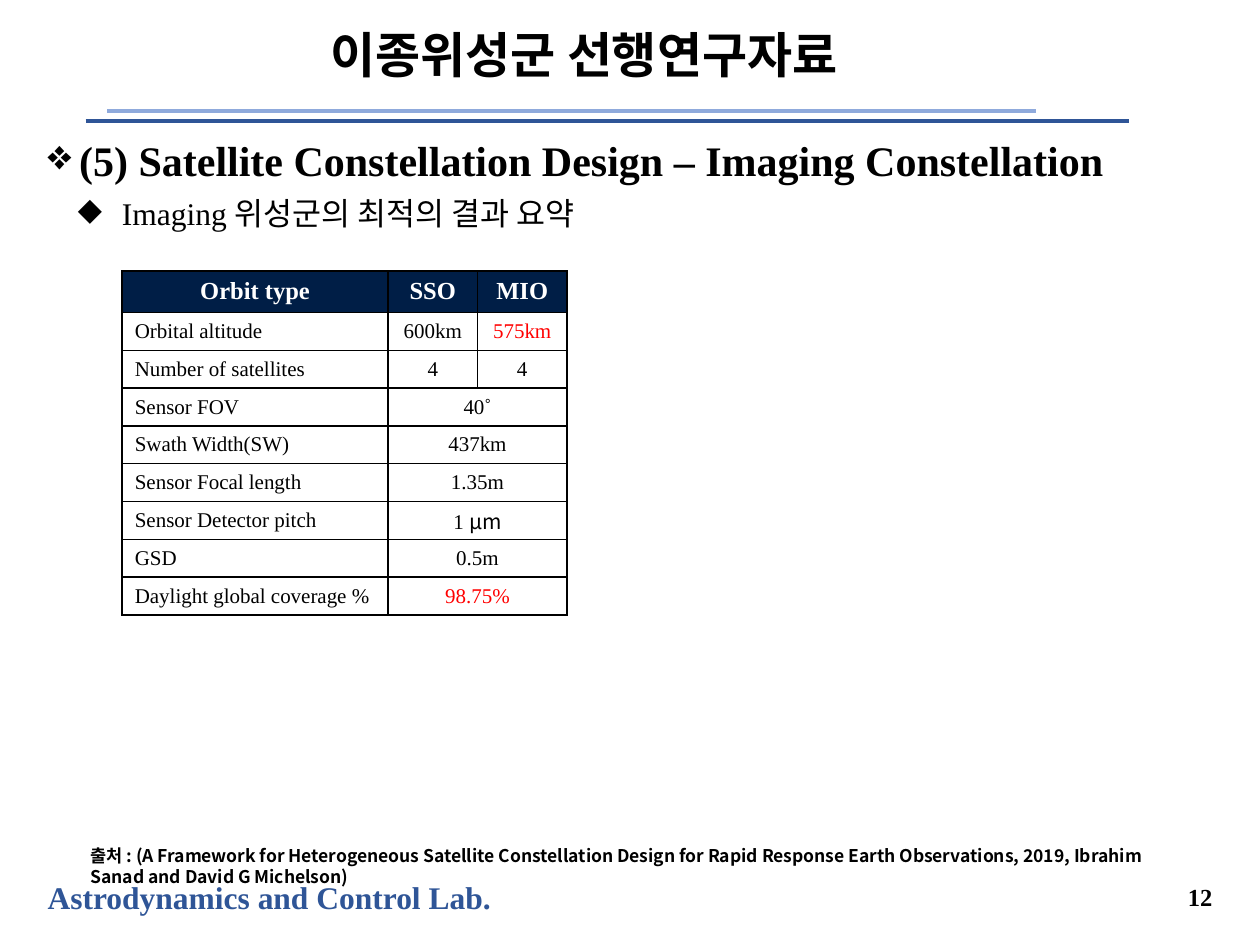
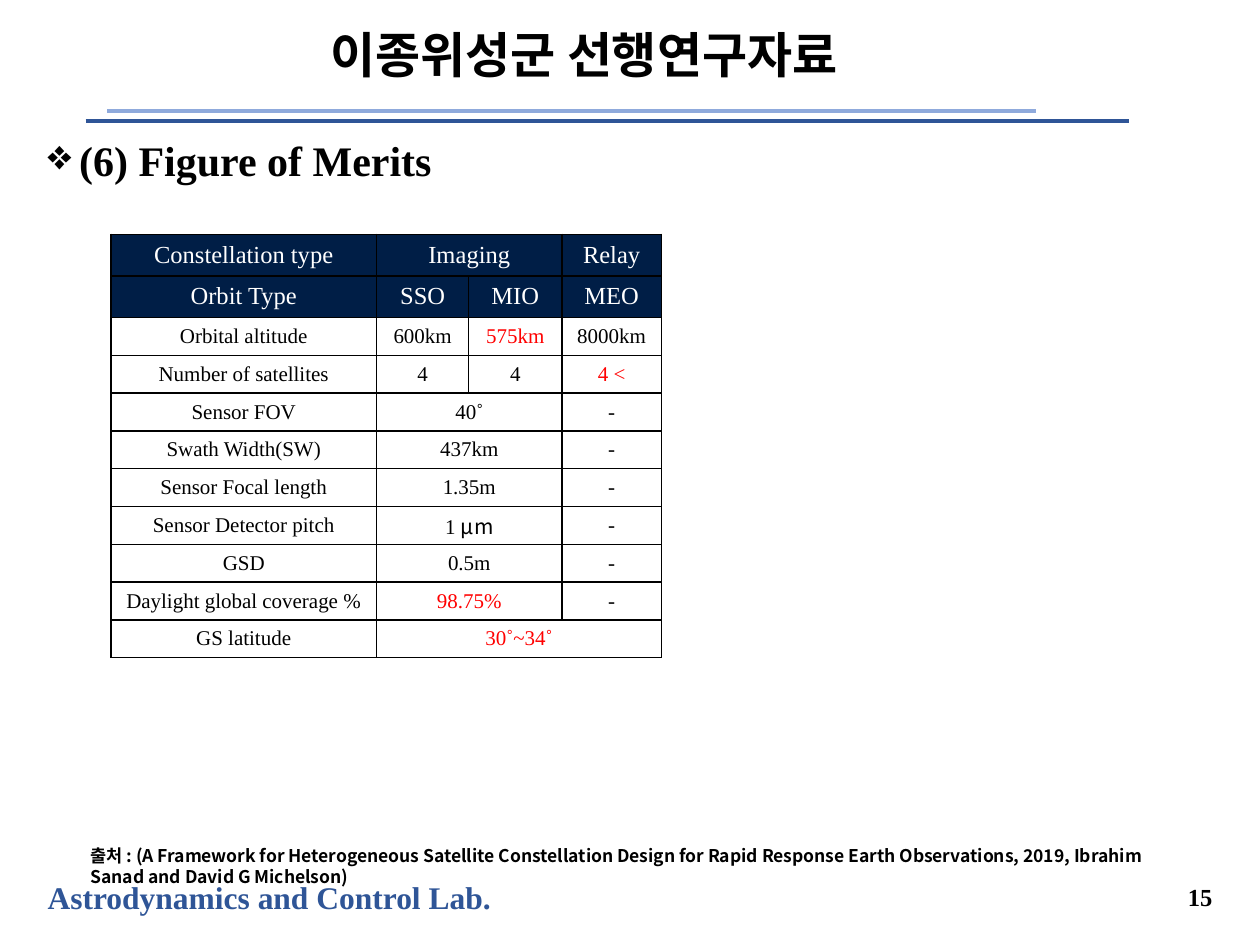
import pptx
import pptx.dml.color
import pptx.enum.shapes
import pptx.enum.text
import pptx.oxml.ns
import pptx.util
from lxml import etree

Inches = pptx.util.Inches
Pt = pptx.util.Pt
RGBColor = pptx.dml.color.RGBColor
ALIGN = pptx.enum.text.PP_ALIGN
MIDDLE = pptx.enum.text.MSO_ANCHOR.MIDDLE
qn = pptx.oxml.ns.qn

BLACK = RGBColor(0x00, 0x00, 0x00)
WHITE = RGBColor(0xFF, 0xFF, 0xFF)
RED = RGBColor(0xFF, 0x00, 0x00)
NAVY = RGBColor(0x00, 0x1E, 0x46)
BLUE = RGBColor(0x2F, 0x55, 0x97)
LIGHT_BLUE = RGBColor(0x8F, 0xAA, 0xDC)

SERIF = "Times New Roman"
KOREAN = "Noto Sans CJK KR"

TITLE = "이종위성군 선행연구자료"
LAB = "Astrodynamics and Control Lab."
SOURCE = ("출처 : (A Framework for Heterogeneous Satellite Constellation Design for Rapid "
          "Response Earth Observations, 2019, Ibrahim Sanad and David G Michelson)")

# None continues the cell to its left
SENSOR_ROWS = [
    ["Sensor FOV", "40˚", None],
    ["Swath Width(SW)", "437km", None],
    ["Sensor Focal length", "1.35m", None],
    ["Sensor Detector pitch", "1 μm", None],
    ["GSD", "0.5m", None],
    ["Daylight global coverage %", "98.75%", None],
]
ORBIT_ROWS = [
    ["Orbital altitude", "600km", "575km"],
    ["Number of satellites", "4", "4"],
]
IMAGING_ROWS = [["Orbit type", "SSO", "MIO"]] + ORBIT_ROWS + SENSOR_ROWS
MERIT_ROWS = [
    ["Constellation type", "Imaging", None, "Relay"],
    ["Orbit Type", "SSO", "MIO", "MEO"],
    *[row + [relay] for row, relay in zip(ORBIT_ROWS, ["8000km", "4 <"])],
    *[row + ["-"] for row in SENSOR_ROWS],
    ["GS latitude", "30˚~34˚", None, None],
]
KEY_RESULTS = {"575km", "98.75%", "4 <", "30˚~34˚"}


def style_run(run, size, color=BLACK, bold=True, font=SERIF):
    run.font.size = Pt(size)
    run.font.color.rgb = color
    run.font.bold = bold
    run.font.name = font


def set_east_asian_font(run):
    etree.SubElement(run.font._element, qn("a:ea"), typeface=KOREAN)


def set_indent(paragraph, left, first_line=0.0, bullet=None):
    properties = paragraph._p.get_or_add_pPr()
    properties.set("marL", str(Inches(left)))
    properties.set("indent", str(Inches(first_line)))
    if bullet:
        etree.SubElement(properties, qn("a:buChar"), char=bullet)


def add_text(slide, box, text, size, color=BLACK, align=ALIGN.LEFT, font=SERIF,
             anchor=None, wrap=True):
    """Add a one-paragraph text box and return its paragraph."""
    shape = slide.shapes.add_textbox(*map(Inches, box))
    frame = shape.text_frame
    frame.word_wrap = wrap
    frame.vertical_anchor = anchor
    frame.text = text
    paragraph = frame.paragraphs[0]
    paragraph.alignment = align
    style_run(paragraph.runs[0], size, color, font=font)
    set_east_asian_font(paragraph.runs[0])
    return paragraph


def add_rule(slide, left, right, top, color):
    line = slide.shapes.add_connector(
        pptx.enum.shapes.MSO_CONNECTOR.STRAIGHT,
        Inches(left), Inches(top), Inches(right), Inches(top))
    line.line.color.rgb = color
    line.line.width = Pt(2.25)
    etree.SubElement(line._element.spPr, qn("a:effectLst"))


def add_frame(slide, number):
    """Add the lab name, rules, title, page number and source note."""
    add_text(slide, (0.28, 6.92, 3.76, 0.4), LAB, 18, BLUE, wrap=False)
    add_rule(slide, 0.68, 8.96, 0.96, BLUE)
    add_rule(slide, 0.85, 8.22, 0.88, LIGHT_BLUE)
    add_text(slide, (8.65, 6.92, 1.07, 0.39), str(number), 14,
             align=ALIGN.RIGHT, anchor=MIDDLE)
    title = add_text(slide, (0.97, 0.08, 7.33, 0.75), TITLE, 28,
                     align=ALIGN.CENTER, anchor=MIDDLE)
    title.line_spacing = 0.9
    source = add_text(slide, (0.15, 6.66, 9.2, 0.44), SOURCE, 10, font=KOREAN)
    source.line_spacing = Pt(12)
    set_indent(source, 0.47)


def add_body(slide, box, heading, point=None):
    shape = slide.shapes.add_textbox(*map(Inches, box))
    frame = shape.text_frame
    frame.word_wrap = True
    frame.text = heading
    set_indent(frame.paragraphs[0], 0.25, -0.39, "❖")
    style_run(frame.paragraphs[0].runs[0], 24)
    if point:
        paragraph = frame.add_paragraph()
        paragraph.text = point
        paragraph.level = 1
        set_indent(paragraph, 0.59, -0.35, "◆")
        paragraph.space_before = Pt(5)
        style_run(paragraph.runs[0], 18, bold=False)
        set_east_asian_font(paragraph.runs[0])


def add_borders(cell):
    properties = cell._tc.get_or_add_tcPr()
    for side in ("lnL", "lnR", "lnT", "lnB"):
        line = etree.SubElement(properties, qn(f"a:{side}"), w=str(Pt(1)))
        fill = etree.SubElement(line, qn("a:solidFill"))
        etree.SubElement(fill, qn("a:srgbClr"), val=str(BLACK))


def fill_cell(cell, text, is_header, align, bold):
    add_borders(cell)
    cell.fill.solid()
    cell.fill.fore_color.rgb = NAVY if is_header else WHITE
    cell.vertical_anchor = MIDDLE
    cell.margin_top = cell.margin_bottom = 0
    if text is None:
        return
    paragraph = cell.text_frame.paragraphs[0]
    paragraph.alignment = align
    number, unit, _ = text.partition("μm")
    color = WHITE if is_header else RED if text in KEY_RESULTS else BLACK
    for part, font in ((number, SERIF), (unit, KOREAN)):
        if part:
            run = paragraph.add_run()
            run.text = part
            style_run(run, 14 if is_header else 12, color, bold, font)


def add_orbit_table(slide, left, top, widths, rows, header_count, label_align, bold_header):
    heights = [0.33 if index < header_count else 0.3 for index in range(len(rows))]
    table = slide.shapes.add_table(
        len(rows), len(widths), Inches(left), Inches(top),
        Inches(sum(widths)), Inches(sum(heights))).table
    table.first_row = table.horz_banding = False
    for column, width in zip(table.columns, widths):
        column.width = Inches(width)
    for r, (values, height) in enumerate(zip(rows, heights)):
        table.rows[r].height = Inches(height)
        is_header = r < header_count
        for c, text in enumerate(values):
            align = label_align if c == 0 and not is_header else ALIGN.CENTER
            fill_cell(table.cell(r, c), text, is_header, align, is_header and bold_header)
        if None in values:
            first = values.index(None) - 1
            table.cell(r, first).merge(table.cell(r, first + values.count(None)))


def main():
    presentation = pptx.Presentation()
    presentation.slide_width = Inches(10)
    presentation.slide_height = Inches(7.5)
    blank = presentation.slide_layouts[6]
    body_box = (0.28, 1.02, 9.44, 5.88)

    imaging = presentation.slides.add_slide(blank)
    add_frame(imaging, 12)
    add_body(imaging, body_box, "(5) Satellite Constellation Design – Imaging Constellation",
             "Imaging 위성군의 최적의 결과 요약")
    add_orbit_table(imaging, 0.97, 2.15, [2.11, 0.71, 0.71], IMAGING_ROWS, 1,
                    ALIGN.JUSTIFY, True)

    merits = presentation.slides.add_slide(blank)
    add_frame(merits, 15)
    add_body(merits, body_box, "(6) Figure of Merits")
    add_orbit_table(merits, 0.88, 1.86, [2.11, 0.73, 0.74, 0.79], MERIT_ROWS, 2,
                    ALIGN.CENTER, False)

    presentation.save("out.pptx")


if __name__ == "__main__":
    main()
